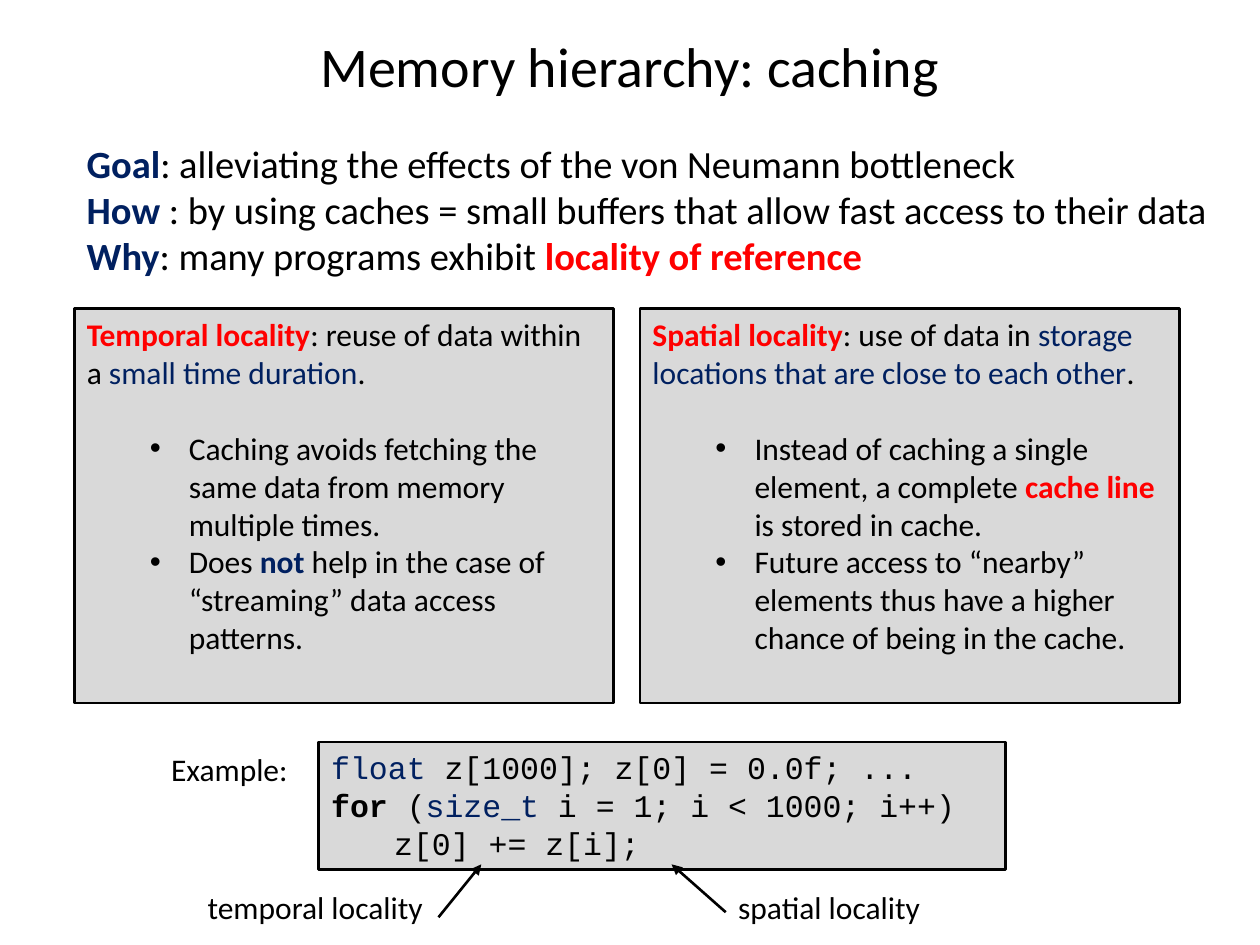
import pptx
import pptx.util
import pptx.dml.color
import pptx.enum.shapes
import pptx.enum.text
import pptx.oxml
import pptx.oxml.ns
import lxml.etree

Inches = pptx.util.Inches
Pt = pptx.util.Pt
qn = pptx.oxml.ns.qn
BLACK, NAVY, RED, GRAY = "000000", "002060", "FF0000", "D9D9D9"


def tint(code):
    return pptx.dml.color.RGBColor.from_string(code)


def add_run(para, text, size, face, color=BLACK, bold=False):
    run = para.add_run()
    run.text = text
    font = run.font
    font.size, font.name, font.bold = Pt(size), face, bold
    font.color.rgb = tint(color)


def add_bullet(para):
    para.level = 1
    props = para._p.get_or_add_pPr()
    props.set("marL", str(Inches(0.81)))
    props.set("indent", str(Inches(-0.31)))
    font = lxml.etree.SubElement(props, qn("a:buFont"))
    font.set("typeface", "Arial")
    mark = lxml.etree.SubElement(props, qn("a:buChar"))
    mark.set("char", "•")


def fill_text(shape, lines, size=18, face="Calibri", wrap=True):
    frame = shape.text_frame
    frame.word_wrap = wrap
    frame.vertical_anchor = pptx.enum.text.MSO_ANCHOR.TOP
    for num, runs in enumerate(lines):
        para = frame.paragraphs[0] if num == 0 else frame.add_paragraph()
        para.alignment = pptx.enum.text.PP_ALIGN.LEFT
        for run in runs:
            add_run(para, *run[:1], size, face, *run[1:])
    return frame


def add_label(slide, left, top, width, height, lines, size=18):
    box = slide.shapes.add_textbox(
        Inches(left), Inches(top), Inches(width), Inches(height))
    return fill_text(box, lines, size, wrap=False)


def add_panel(slide, left, top, width, height, lines, face="Calibri"):
    box = slide.shapes.add_shape(
        pptx.enum.shapes.MSO_SHAPE.RECTANGLE,
        Inches(left), Inches(top), Inches(width), Inches(height))
    box.shadow.inherit = False
    box.fill.solid()
    box.fill.fore_color.rgb = tint(GRAY)
    box.line.color.rgb = tint(BLACK)
    box.line.width = Pt(1.5)
    return fill_text(box, lines, face=face)


def add_card(slide, left, lines):
    paras = add_panel(slide, left, 2.45, 4.28, 3.13, lines).paragraphs
    for para in paras[1:]:
        add_bullet(para)
    paras[1].space_before = Pt(22)


def add_arrow(slide, start, end):
    line = slide.shapes.add_connector(
        pptx.enum.shapes.MSO_CONNECTOR.STRAIGHT,
        *map(Inches, start + end))
    line.line.color.rgb = tint(BLACK)
    line.line.width = Pt(1.5)
    tip = lxml.etree.SubElement(line.line._get_or_add_ln(), qn("a:tailEnd"))
    tip.set("type", "triangle")
    lxml.etree.SubElement(line._element.spPr, qn("a:effectLst"))


def main():
    deck = pptx.Presentation()
    deck.slide_width, deck.slide_height = Inches(10), Inches(7.5)
    slide = deck.slides.add_slide(deck.slide_layouts[6])

    title = add_label(
        slide, 0.5, 0.17, 9, 0.7, [[("Memory hierarchy: caching",)]], 32)
    title.word_wrap = True
    title.vertical_anchor = pptx.enum.text.MSO_ANCHOR.MIDDLE
    title.paragraphs[0].alignment = pptx.enum.text.PP_ALIGN.CENTER

    add_label(slide, 0.59, 1.06, 9.2, 1.51, [
        [("Goal", NAVY, True),
         (": alleviating the effects of the von Neumann bottleneck",)],
        [("How", NAVY, True),
         (" : by using caches = small buffers that allow fast access"
          " to their data",)],
        [("Why", NAVY, True), (": many programs exhibit ",),
         ("locality of reference", RED, True)],
    ], 22)

    add_card(slide, 0.59, [
        [("Temporal locality", RED, True), (": reuse of data within a ",),
         ("small time duration", NAVY), (".",)],
        [("Caching avoids fetching the same data from memory"
          " multiple times.",)],
        [("Does ",), ("not", NAVY, True),
         (" help in the case of “streaming” data access patterns.",)],
    ])
    add_card(slide, 5.08, [
        [("Spatial locality", RED, True), (": use of data in ",),
         ("storage locations that are close to each other", NAVY), (".",)],
        [("Instead of caching a single element, a complete ",),
         ("cache line", RED, True), (" is stored in cache.",)],
        [("Future access to “nearby” elements thus have a higher chance"
          " of being in the cache.",)],
    ])

    add_panel(slide, 2.53, 5.89, 5.45, 1.01, [
        [("float", NAVY), (" z[1000]; z[0] = 0.0f; ...",)],
        [("for", BLACK, True), (" (",), ("size_t ", NAVY),
         ("i = 1; i < 1000; i++)",)],
        [("\tz[0] += z[i];",)],
    ], "Courier New")
    add_arrow(slide, (5.76, 7.24), (5.33, 6.86))
    add_arrow(slide, (3.48, 7.28), (3.82, 6.86))
    for text, left, top, width in (
            ("spatial locality", 5.76, 7, 1.66),
            ("temporal locality", 1.55, 7, 1.93),
            ("Example:", 1.26, 5.9, 1.14)):
        add_label(slide, left, top, width, 0.4, [[(text,)]])

    deck.save("out.pptx")


if __name__ == "__main__":
    main()
